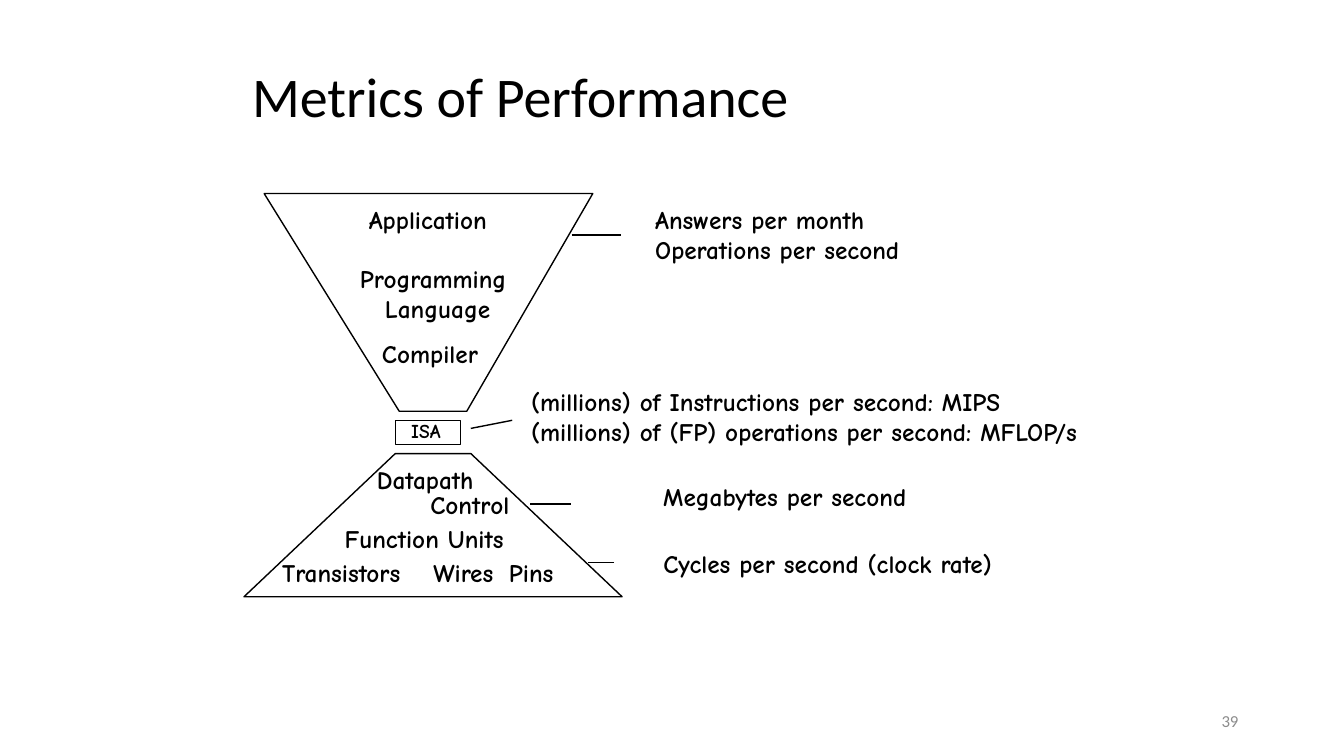
import pptx
import pptx.dml.color
import pptx.enum.shapes
import pptx.enum.text
import pptx.util
from pptx.util import Inches

COLORS = {"ink": "000000", "paper": "FFFFFF", "number": "8C8C8C"}
LABEL_FONT = "Comic Neue"
TITLE_FONT = "Calibri"
ALIGN = pptx.enum.text.PP_ALIGN
ANCHOR = pptx.enum.text.MSO_ANCHOR

# left, top, width, height, text
LABELS = [
    (3.56, 1.98, 1.52, 0.4, "Application"),
    (3.69, 3.31, 1.22, 0.4, "Compiler"),
    (3.64, 4.56, 1.32, 0.4, "Datapath"),
    (4.17, 4.81, 1.06, 0.4, "Control"),
    (3.32, 5.14, 1.94, 0.4, "Function Units"),
    (2.7, 5.48, 1.58, 0.4, "Transistors"),
    (4.2, 5.48, 0.92, 0.4, "Wires"),
    (4.95, 5.48, 0.66, 0.4, "Pins"),
    (6.4, 1.98, 2.94, 0.7, "Answers per month\nOperations per second"),
    (6.48, 4.73, 2.93, 0.4, "Megabytes per second"),
    (6.48, 5.39, 3.91, 0.4, "Cycles per second (clock rate)"),
]
MIPS_TEXT = ("(millions) of Instructions per second: MIPS\n"
             "(millions) of (FP) operations per second: MFLOP/s")

# x1, y1, x2, y2
POINTERS = [
    (5.67, 2.33, 6.16, 2.33),
    (4.67, 4.25, 5.08, 4.17),
    (5.26, 5, 5.66, 5),
    (6.09, 5.58, 5.83, 5.58),
]
SOFTWARE = [(3.96, 4.08), (2.62, 1.92), (5.88, 1.92), (4.63, 4.08)]
HARDWARE = [(3.92, 4.5), (2.42, 5.92), (6.17, 5.92), (4.67, 4.5)]


def rgb(name):
    return pptx.dml.color.RGBColor.from_string(COLORS[name])


def format_text(tf, font, size, color="ink", bold=False, align=ALIGN.LEFT):
    for p in tf.paragraphs:
        p.alignment = align
        for r in p.runs:
            r.font.name = font
            r.font.size = pptx.util.Pt(size)
            r.font.bold = bold
            r.font.color.rgb = rgb(color)


def add_label(s, left, top, width, height, text, size=18, align=ALIGN.LEFT, wrap=False):
    tf = s.shapes.add_textbox(*map(Inches, (left, top, width, height))).text_frame
    tf.word_wrap = wrap
    tf.auto_size = pptx.enum.text.MSO_AUTO_SIZE.SHAPE_TO_FIT_TEXT
    tf.text = text
    format_text(tf, LABEL_FONT, size, bold=True, align=align)


def outline(sp):
    sp.shadow.inherit = False
    sp.fill.solid()
    sp.fill.fore_color.rgb = rgb("paper")
    sp.line.color.rgb = rgb("ink")
    sp.line.width = pptx.util.Pt(1)


def add_trapezoid(s, points):
    start, *rest = [(Inches(x), Inches(y)) for x, y in points]
    builder = s.shapes.build_freeform(*start)
    builder.add_line_segments(rest, close=True)
    outline(builder.convert_to_shape())


def add_pointer(s, *ends):
    line = s.shapes.add_connector(
        pptx.enum.shapes.MSO_CONNECTOR.STRAIGHT, *map(Inches, ends))
    line.line.color.rgb = rgb("ink")
    line.line.width = pptx.util.Pt(1)
    line._element.spPr.append(pptx.oxml.parse_xml(
        '<a:effectLst xmlns:a="http://schemas.openxmlformats.org/drawingml/2006/main"/>'))


def add_title(s, text):
    sp = s.shapes.title
    sp.left, sp.top, sp.width, sp.height = map(Inches, (2.4, 0.44, 8.5, 1.25))
    tf = sp.text_frame
    tf.text = text
    tf.vertical_anchor = ANCHOR.MIDDLE
    tf.paragraphs[0].line_spacing = 0.5
    format_text(tf, TITLE_FONT, 40)


def add_slide_number(s, text):
    tf = s.shapes.add_textbox(*map(Inches, (9.42, 6.95, 3, 0.4))).text_frame
    tf.word_wrap = True
    tf.vertical_anchor = ANCHOR.MIDDLE
    tf.text = text
    format_text(tf, TITLE_FONT, 12, "number", align=ALIGN.RIGHT)


def main():
    prs = pptx.Presentation()
    prs.slide_width, prs.slide_height = Inches(13.33), Inches(7.5)
    s = prs.slides.add_slide(prs.slide_layouts[5])
    add_title(s, "Metrics of Performance")
    for points in (SOFTWARE, HARDWARE):
        add_trapezoid(s, points)
    outline(s.shapes.add_shape(pptx.enum.shapes.MSO_SHAPE.RECTANGLE,
                               *map(Inches, (3.92, 4.17, 0.65, 0.24))))
    for label in LABELS:
        add_label(s, *label)
    add_label(s, 3.43, 2.56, 1.82, 0.7, "Programming \nLanguage", align=ALIGN.CENTER)
    add_label(s, 3.98, 4.11, 0.59, 0.33, "ISA", size=14)
    add_label(s, 5.17, 3.78, 6.33, 0.7, MIPS_TEXT, wrap=True)
    for ends in POINTERS:
        add_pointer(s, *ends)
    add_slide_number(s, "39 ")
    prs.save("out.pptx")


if __name__ == "__main__":
    main()
